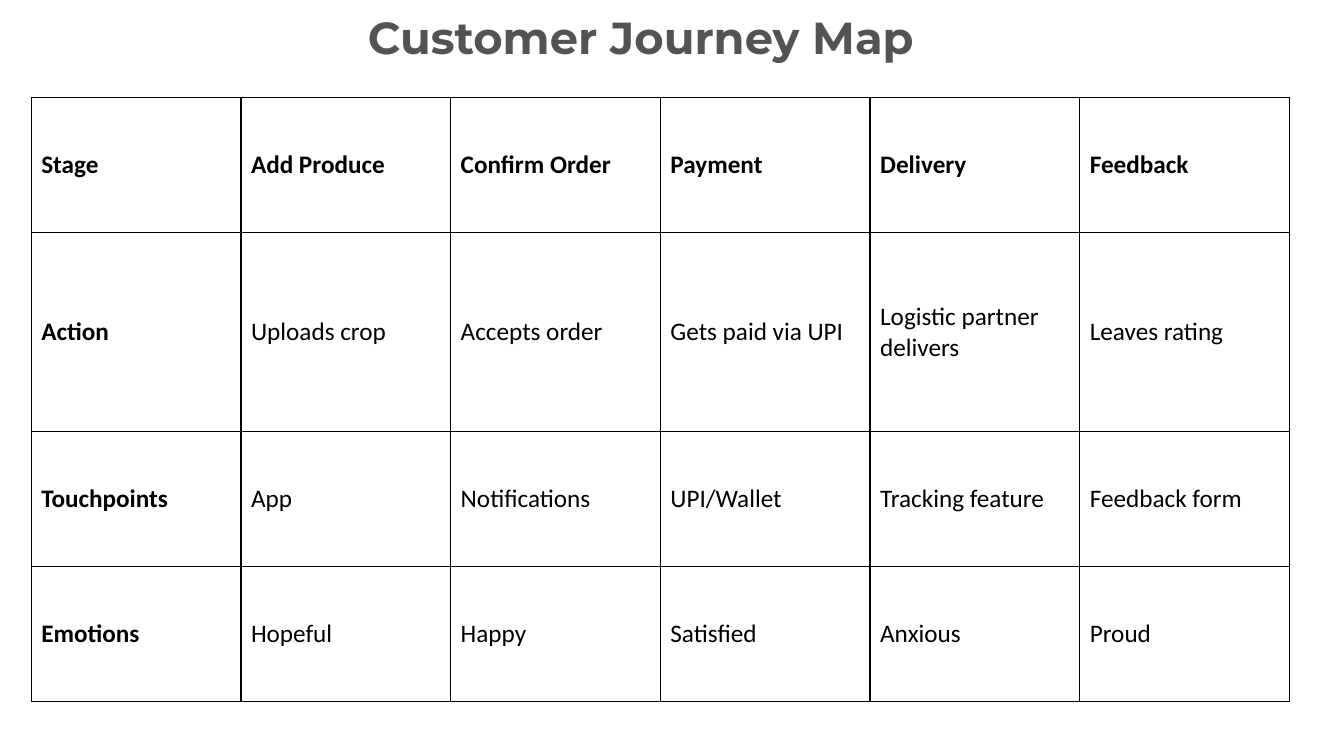
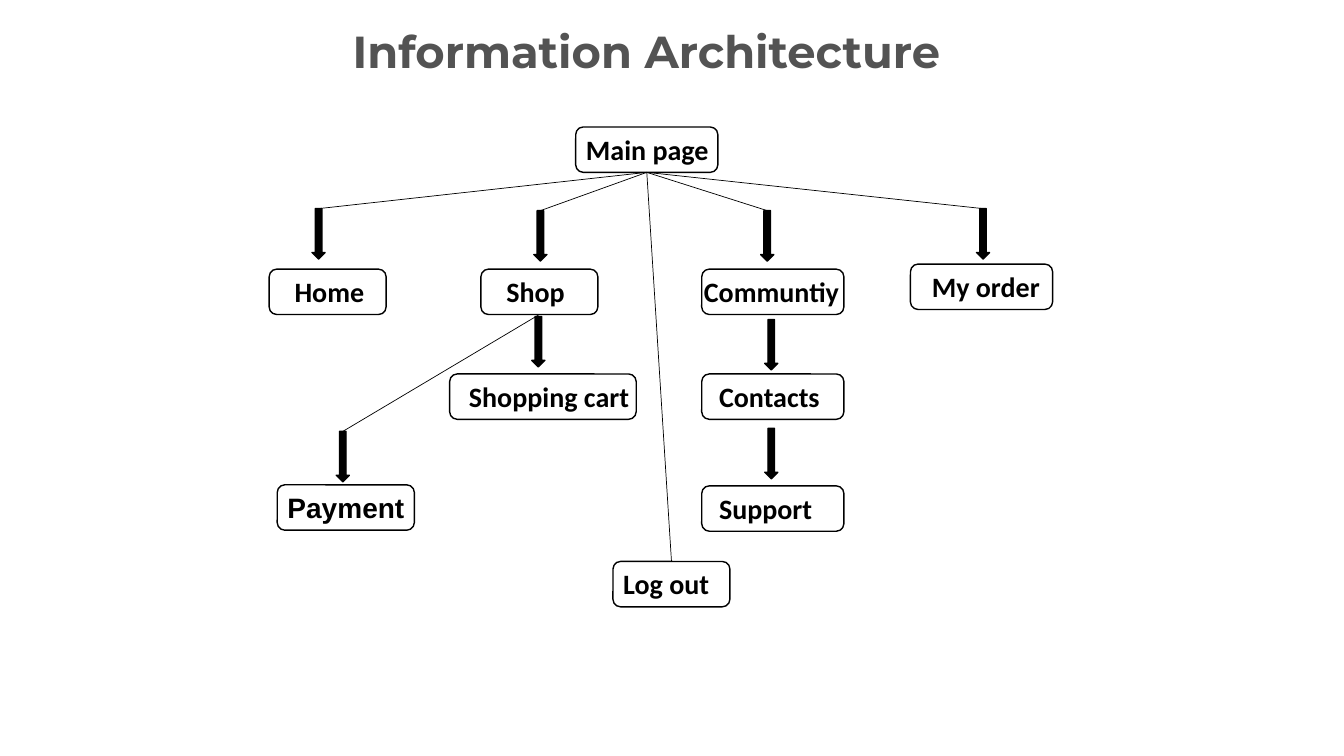
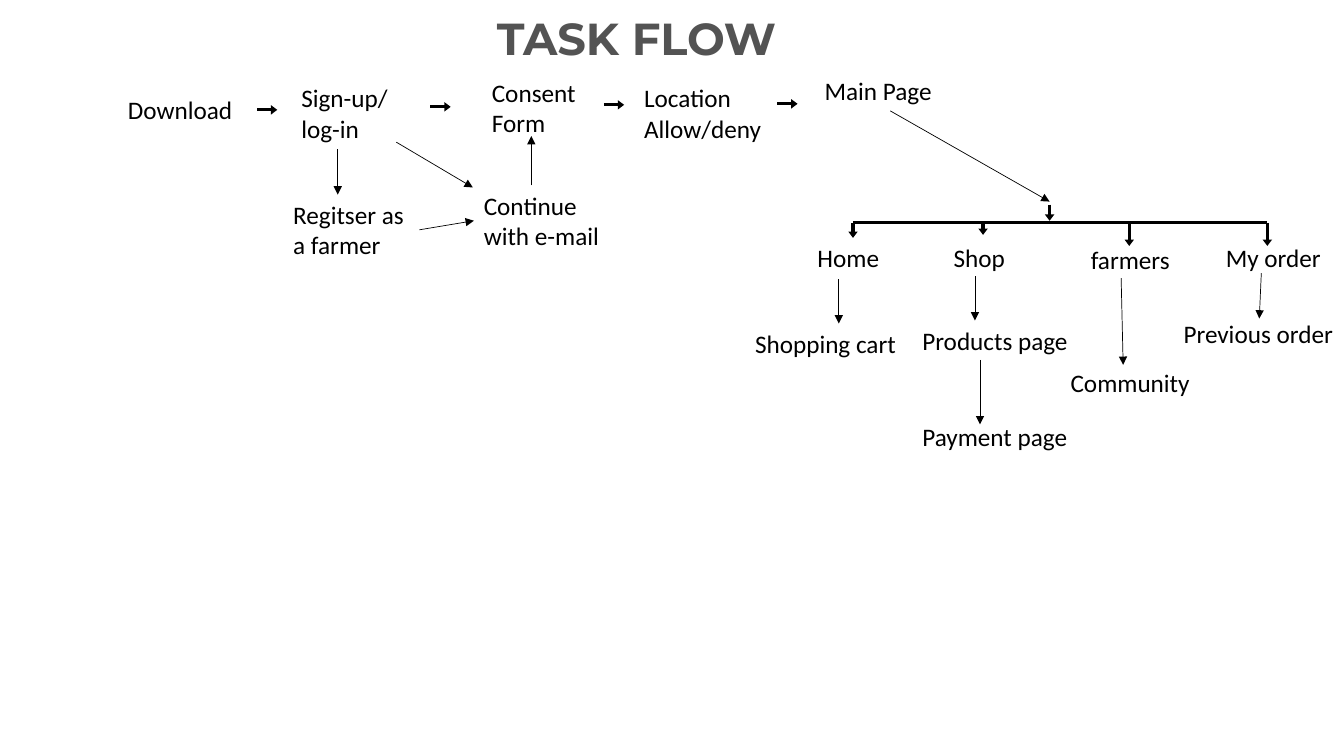
from lxml import etree
from pptx import Presentation
from pptx.dml.color import RGBColor
from pptx.enum.shapes import MSO_CONNECTOR, MSO_SHAPE
from pptx.enum.text import MSO_ANCHOR, PP_ALIGN
from pptx.oxml.ns import qn
from pptx.util import Inches, Pt

STRAIGHT = MSO_CONNECTOR.STRAIGHT
ROUND, DOWN = MSO_SHAPE.ROUNDED_RECTANGLE, MSO_SHAPE.DOWN_ARROW
TOP, MID, LEFT = MSO_ANCHOR.TOP, MSO_ANCHOR.MIDDLE, PP_ALIGN.LEFT
INK, GREY = "000000", "535353"
BODY, HEAD = "Calibri", "Montserrat"
BOX_H, ARROW_W = 0.45, 0.13

JOURNEY = [
    ["Stage", "Add Produce", "Confirm Order", "Payment", "Delivery", "Feedback"],
    ["Action", "Uploads crop", "Accepts order", "Gets paid via UPI",
     "Logistic partner delivers", "Leaves rating"],
    ["Touchpoints", "App", "Notifications", "UPI/Wallet", "Tracking feature",
     "Feedback form"],
    ["Emotions", "Hopeful", "Happy", "Satisfied", "Anxious", "Proud"],
]

# Page boxes: label, left, top, width, text inset
PAGES = [
    ("Main page", 5.71, 1.26, 1.41, 0.08),
    ("Home", 2.67, 2.67, 1.16, 0.23),
    ("Shop", 4.77, 2.67, 1.16, 0.23),
    ("Communtiy", 6.96, 2.67, 1.41, 0),
    ("My order", 9.03, 2.62, 1.41, 0.19),
    ("Shopping cart", 4.46, 3.71, 1.85, 0.17),
    ("Contacts", 6.96, 3.71, 1.41, 0.15),
    ("Payment", 2.75, 4.81, 1.36, 0.08),
    ("Support", 6.96, 4.82, 1.41, 0.15),
    ("Log out", 6.08, 5.57, 1.16, 0.08),
]

# Block arrows: centre, top, box that a line comes from
ARROWS = [
    (3.16, 2.07, "Main page"), (5.36, 2.09, "Main page"),
    (7.61, 2.09, "Main page"), (9.75, 2.07, "Main page"),
    (3.4, 4.28, "Shop"), (5.34, 3.14, None),
    (7.65, 3.17, None), (7.65, 4.25, None),
]

# Flow steps: label, left, top, width, height
STEPS = [
    ("Download", 1.17, 0.89, 1.41, 0.4),
    ("Sign-up/log-in", 2.89, 0.77, 1.34, 0.71),
    ("Regitser as a farmer", 2.81, 1.93, 1.34, 0.71),
    ("Continue with e-mail", 4.7, 1.84, 1.58, 0.71),
    ("Consent Form", 4.78, 0.72, 1.34, 0.71),
    ("Location\nAllow/deny", 6.29, 0.77, 1.65, 0.71),
    ("Main Page", 8.08, 0.7, 1.49, 0.4),
    ("Home", 8.01, 2.36, 0.96, 0.4),
    ("Shop", 9.36, 2.35, 0.9, 0.4),
    ("farmers", 10.72, 2.37, 1.02, 0.4),
    ("My order", 12.06, 2.36, 1.33, 0.4),
    ("Shopping cart", 7.39, 3.21, 1.66, 0.4),
    ("Products page", 9.05, 3.18, 1.66, 0.4),
    ("Community", 10.52, 3.59, 1.66, 0.4),
    ("Previous order", 11.64, 3.11, 1.75, 0.4),
    ("Payment page", 9.05, 4.13, 1.66, 0.4),
]

THIN = [
    (3.35, 1.48, 3.35, 1.93), (3.93, 1.41, 4.69, 1.86),
    (4.16, 2.28, 4.7, 2.19), (5.27, 1.84, 5.27, 1.35),
    (8.83, 1.1, 10.41, 2), (8.32, 2.77, 8.32, 3.21),
    (9.67, 2.74, 9.67, 3.18), (11.12, 2.76, 11.14, 3.62),
    (12.51, 2.71, 12.49, 3.16), (9.72, 3.57, 9.72, 4.21),
]
ACROSS = [(2.55, 1.09), (4.27, 1.06), (5.99, 1.04), (7.71, 1.03)]
BUS_Y = 2.21
DROPS = [(8.46, 2.36), (9.75, 2.33), (11.2, 2.44), (12.57, 2.44)]


def color(code):
    return RGBColor.from_string(code)


def write(frame, text, size=18, font=BODY, ink=INK, bold=False,
          anchor=TOP, space=None, wrap=True):
    frame.word_wrap = wrap
    frame.vertical_anchor = anchor
    frame.text = text
    for para in frame.paragraphs:
        para.alignment = LEFT
        if space:
            para.line_spacing = space
        for run in para.runs:
            run.font.size, run.font.name = Pt(size), font
            run.font.bold, run.font.color.rgb = bold, color(ink)


def label(slide, text, left, top, width, height, **style):
    box = slide.shapes.add_textbox(*map(Inches, (left, top, width, height)))
    write(box.text_frame, text, **style)


def title(slide, text, *place):
    label(slide, text, *place, size=32, font=HEAD, ink=GREY, bold=True,
          anchor=MID, space=0.9)


def shape(slide, kind, left, top, width, height, fill=None):
    item = slide.shapes.add_shape(
        kind, *map(Inches, (left, top, width, height)))
    item.shadow.inherit = False
    if fill:
        item.fill.solid()
        item.fill.fore_color.rgb = color(fill)
    else:
        item.fill.background()
    item.line.color.rgb, item.line.width = color(INK), Pt(1)
    return item


def page(slide, text, left, top, width, inset):
    """Draw a labelled box; a label with no inset fills it unwrapped."""
    box = shape(slide, ROUND, left, top, width, BOX_H)
    frame = box.text_frame
    frame.margin_left, frame.margin_right = Inches(inset), 0
    frame.margin_top = Inches(0.03)
    write(frame, text, size=20, bold=True, wrap=inset > 0,
          font="Arial" if text == "Payment" else BODY)
    return box


def line(slide, x1=0, y1=0, x2=0, y2=0, width=0.5, head=None):
    """Draw a line; head is the length class of its arrowhead."""
    item = slide.shapes.add_connector(
        STRAIGHT, *map(Inches, (x1, y1, x2, y2)))
    item.line.color.rgb, item.line.width = color(INK), Pt(width)
    props = item._element.spPr
    etree.SubElement(props, qn("a:effectLst"))
    if head:
        etree.SubElement(props.find(qn("a:ln")), qn("a:tailEnd"),
                         type="triangle", w="med", len=head)
    return item


def join(slide, start, end):
    """Join the bottom of one shape to the top of another."""
    item = line(slide)
    item.begin_connect(start, 2)
    item.end_connect(end, 0)


def border(cell):
    props = cell._tc.get_or_add_tcPr()
    for side in ("lnL", "lnR", "lnT", "lnB"):
        edge = etree.SubElement(props, qn("a:" + side), w=str(Pt(1)))
        fill = etree.SubElement(edge, qn("a:solidFill"))
        etree.SubElement(fill, qn("a:srgbClr"), val=INK)


def journey(slide):
    title(slide, "Customer Journey Map", 3.55, -0.18, 7.34, 1.15)
    grid = slide.shapes.add_table(
        len(JOURNEY), len(JOURNEY[0]),
        *map(Inches, (0.31, 0.97, 12.48, 6))).table
    grid.first_row = grid.horz_banding = False
    for col in grid.columns:
        col.width = Inches(2.08)
    for i, texts in enumerate(JOURNEY):
        grid.rows[i].height = Inches(1.97 if i == 1 else 1.34)
        for j, text in enumerate(texts):
            cell = grid.cell(i, j)
            border(cell)
            cell.fill.background()
            write(cell.text_frame, text, bold=i == 0 or j == 0)
            cell.vertical_anchor = MID


def sitemap(slide):
    title(slide, "Information Architecture", 3.4, 0, 6.18, 1.07)
    boxes = {spec[0]: page(slide, *spec) for spec in PAGES}
    for mid, top, source in ARROWS:
        arrow = shape(slide, DOWN, mid - ARROW_W / 2, top, ARROW_W, 0.5, INK)
        if source:
            join(slide, boxes[source], arrow)
    join(slide, boxes["Main page"], boxes["Log out"])


def flow(slide):
    title(slide, "TASK FLOW", 4.83, -0.39, 3.68, 1.6)
    # Main path
    for x, y in ACROSS:
        line(slide, x, y, x + 0.2, y, width=2.25, head="sm")
    # Branches of the main page
    line(slide, DROPS[-1][0], BUS_Y, DROPS[0][0], BUS_Y, width=2.25)
    line(slide, 10.41, 2.03, 10.41, 2.19, width=2.25, head="sm")
    for x, end in DROPS:
        line(slide, x, BUS_Y, x, end, width=2.25, head="sm")
    # Steps and thin arrows
    for step in STEPS:
        label(slide, *step)
    for ends in THIN:
        line(slide, *ends, head="med")


def main():
    deck = Presentation()
    deck.slide_width, deck.slide_height = Inches(13.33), Inches(7.5)
    for build in (journey, sitemap, flow):
        build(deck.slides.add_slide(deck.slide_layouts[6]))
    deck.save("out.pptx")


if __name__ == "__main__":
    main()
